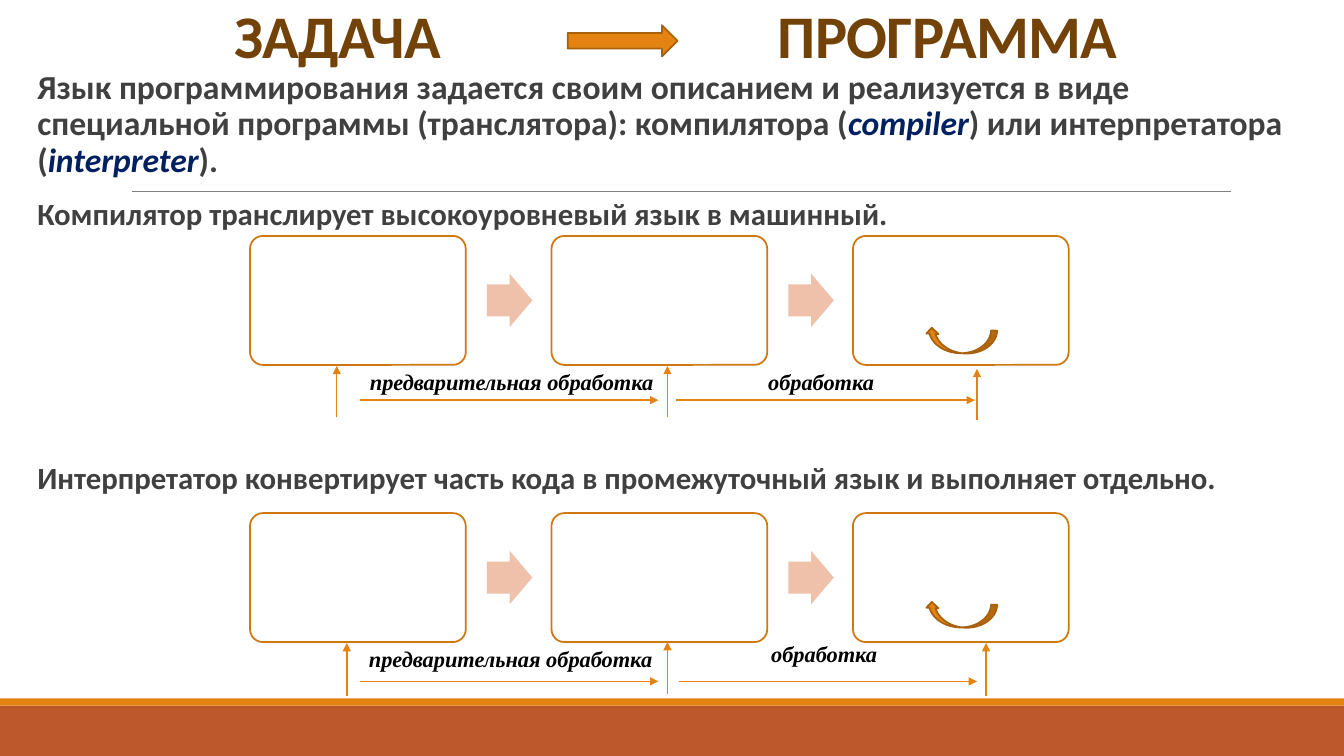
from pptx import Presentation
from pptx.dml.color import RGBColor
from pptx.enum.shapes import MSO_CONNECTOR, MSO_SHAPE
from pptx.enum.text import MSO_ANCHOR, PP_ALIGN
from pptx.oxml.ns import qn
from pptx.util import Inches, Pt
from lxml import etree

RECT, ROUNDED = MSO_SHAPE.RECTANGLE, MSO_SHAPE.ROUNDED_RECTANGLE
RIGHT_ARROW, LOOP_ARROW = MSO_SHAPE.RIGHT_ARROW, MSO_SHAPE.CURVED_LEFT_ARROW
STRAIGHT = MSO_CONNECTOR.STRAIGHT
TOP, BOTTOM = MSO_ANCHOR.TOP, MSO_ANCHOR.BOTTOM
LEFT, CENTER = PP_ALIGN.LEFT, PP_ALIGN.CENTER

WHITE = RGBColor(0xFF, 0xFF, 0xFF)
BLACK = RGBColor(0, 0, 0)
ORANGE = RGBColor(0xE4, 0x83, 0x12)
DARK_ORANGE = RGBColor(0xA9, 0x61, 0x0D)
BOX_EDGE = RGBColor(0xCF, 0x77, 0x10)
PEACH = RGBColor(0xEF, 0xC1, 0xAB)
RUST = RGBColor(0xBD, 0x58, 0x2C)
BROWN = RGBColor(0x72, 0x42, 0x09)
GRAY = RGBColor(0x80, 0x80, 0x80)
DARK_GRAY = RGBColor(0x40, 0x40, 0x40)
NAVY = RGBColor(0x00, 0x20, 0x60)

# Title words: text, left, width
TITLE_WORDS = [("ЗАДАЧА", 1.85, 3), ("ПРОГРАММА", 7.4, 4)]

# Paragraphs: size, then runs as (text, is a term)
INTRO = (24, [
    ("Язык программирования задается своим описанием и реализуется в виде "
     "специальной программы (транслятора): компилятора (", False),
    ("compiler", True),
    (") или интерпретатора (", False),
    ("interpreter", True),
    (").", False),
])
COMPILER = (22, [("Компилятор транслирует высокоуровневый язык в машинный.", False)])
INTERPRETER = (22, [("Интерпретатор конвертирует часть кода в промежуточный язык "
                     "и выполняет отдельно.", False)])

# Stage arrows: x, lower y, upper y. Phase arrows: from x, to x. Labels: text, left, top, width
FLOWS = [
    {"top": 2.34, "loop_top": 3.03, "phase_y": 3.97,
     "stage_arrows": [(3.34, 4.14, 3.63), (6.62, 4.14, 3.63), (9.69, 4.17, 3.66)],
     "phase_arrows": [(3.57, 6.53), (6.7, 9.67)],
     "labels": [("предварительная обработка", 3.57, 3.6, 3.05),
                ("обработка", 7.52, 3.6, 1.27)]},
    {"top": 5.09, "loop_top": 5.75, "phase_y": 6.76,
     "stage_arrows": [(3.44, 6.9, 6.38), (6.62, 6.89, 6.37), (9.78, 6.9, 6.38)],
     "phase_arrows": [(3.57, 6.53), (6.73, 9.69)],
     "labels": [("предварительная обработка", 3.56, 6.35, 3.05),
                ("обработка", 7.55, 6.3, 1.27)]},
]
BOX_LEFT, BOX_PITCH, BOX_W, BOX_H = 2.48, 2.99, 2.14, 1.28
STEP_OFFSET, STEP_W, STEP_H = 2.35, 0.45, 0.53


def add_solid(slide, kind, at, fill, edge=None, adjustments=()):
    shape = slide.shapes.add_shape(kind, *map(Inches, at))
    shape.shadow.inherit = False
    shape.fill.solid()
    shape.fill.fore_color.rgb = fill
    if edge is None:
        shape.line.fill.background()
    else:
        shape.line.color.rgb = edge
        shape.line.width = Pt(1.25)
    for index, value in enumerate(adjustments):
        shape.adjustments[index] = value
    return shape


def add_line(slide, start, end, color=ORANGE, width=1, arrow=True):
    line = slide.shapes.add_connector(STRAIGHT, *map(Inches, (*start, *end)))
    line.line.color.rgb = color
    line.line.width = Pt(width)
    if arrow:
        etree.SubElement(line.line._get_or_add_ln(), qn("a:tailEnd"), type="triangle")
    etree.SubElement(line._element.spPr, qn("a:effectLst"))


def add_frame(slide, at, side_inset=0.0, wrap=True, anchor=TOP):
    frame = slide.shapes.add_textbox(*map(Inches, at)).text_frame
    frame.word_wrap = wrap
    frame.vertical_anchor = anchor
    frame.margin_left = frame.margin_right = Inches(side_inset)
    frame.margin_top = frame.margin_bottom = Inches(0.05)
    return frame


def add_run(paragraph, text, size, color, font="Calibri", italic=False):
    run = paragraph.add_run()
    run.text = text
    run.font.name = font
    run.font.size = Pt(size)
    run.font.color.rgb = color
    run.font.bold = True
    run.font.italic = italic
    return run


def add_statements(slide, at, statements):
    frame = add_frame(slide, at)
    for index, (size, runs) in enumerate(statements):
        paragraph = frame.add_paragraph() if index else frame.paragraphs[0]
        paragraph.alignment = LEFT
        paragraph.line_spacing = 0.9
        paragraph.space_before = Pt(12 if index else 0)
        paragraph.space_after = Pt(2)
        for text, is_term in runs:
            add_run(paragraph, text, size, NAVY if is_term else DARK_GRAY, italic=is_term)


def add_flow(slide, flow):
    """Three stages joined by block arrows, with their processing phases below."""
    top = flow["top"]
    for index in range(3):
        left = BOX_LEFT + index * BOX_PITCH
        add_solid(slide, ROUNDED, (left, top, BOX_W, BOX_H), WHITE, BOX_EDGE, [0.1])
        if index < 2:
            step_top = top + (BOX_H - STEP_H) / 2
            add_solid(slide, RIGHT_ARROW, (left + STEP_OFFSET, step_top, STEP_W, STEP_H),
                      PEACH, adjustments=[0.6, 0.5])
    for x, lower, upper in flow["stage_arrows"]:
        add_line(slide, (x, lower), (x, upper))
    for start, end in flow["phase_arrows"]:
        add_line(slide, (start, flow["phase_y"]), (end, flow["phase_y"]))
    for text, left, label_top, width in flow["labels"]:
        label = add_frame(slide, (left, label_top, width, 0.37), 0.1, wrap=False)
        add_run(label.paragraphs[0], text, 16, BLACK, "Times New Roman", italic=True)
    loop = add_solid(slide, LOOP_ARROW, (9.41, flow["loop_top"], 0.24, 0.71),
                     ORANGE, DARK_ORANGE)
    loop.rotation = 92.6


def main():
    prs = Presentation()
    prs.slide_width, prs.slide_height = Inches(13.33), Inches(7.5)
    slide = prs.slides.add_slide(prs.slide_layouts[6])

    add_solid(slide, RECT, (0, 7, 13.33, 0.5), RUST)
    add_solid(slide, RECT, (0, 6.93, 13.33, 0.07), ORANGE)
    add_line(slide, (1.31, 1.9), (12.21, 1.9), GRAY, 0.5, arrow=False)

    for word, left, width in TITLE_WORDS:
        title = add_frame(slide, (left, 0.07, width, 0.68), anchor=BOTTOM).paragraphs[0]
        title.alignment = CENTER
        title.line_spacing = 0.85
        run = add_run(title, word, 43.2, BROWN)
        run.font._element.set("spc", "-50")
    add_solid(slide, RIGHT_ARROW, (5.63, 0.25, 1.09, 0.31), ORANGE, DARK_ORANGE)

    add_statements(slide, (0.37, 0.65, 12.74, 1.7), [INTRO, COMPILER])
    add_statements(slide, (0.37, 4.54, 12.74, 0.45), [INTERPRETER])
    for flow in FLOWS:
        add_flow(slide, flow)
    prs.save("out.pptx")


if __name__ == "__main__":
    main()
